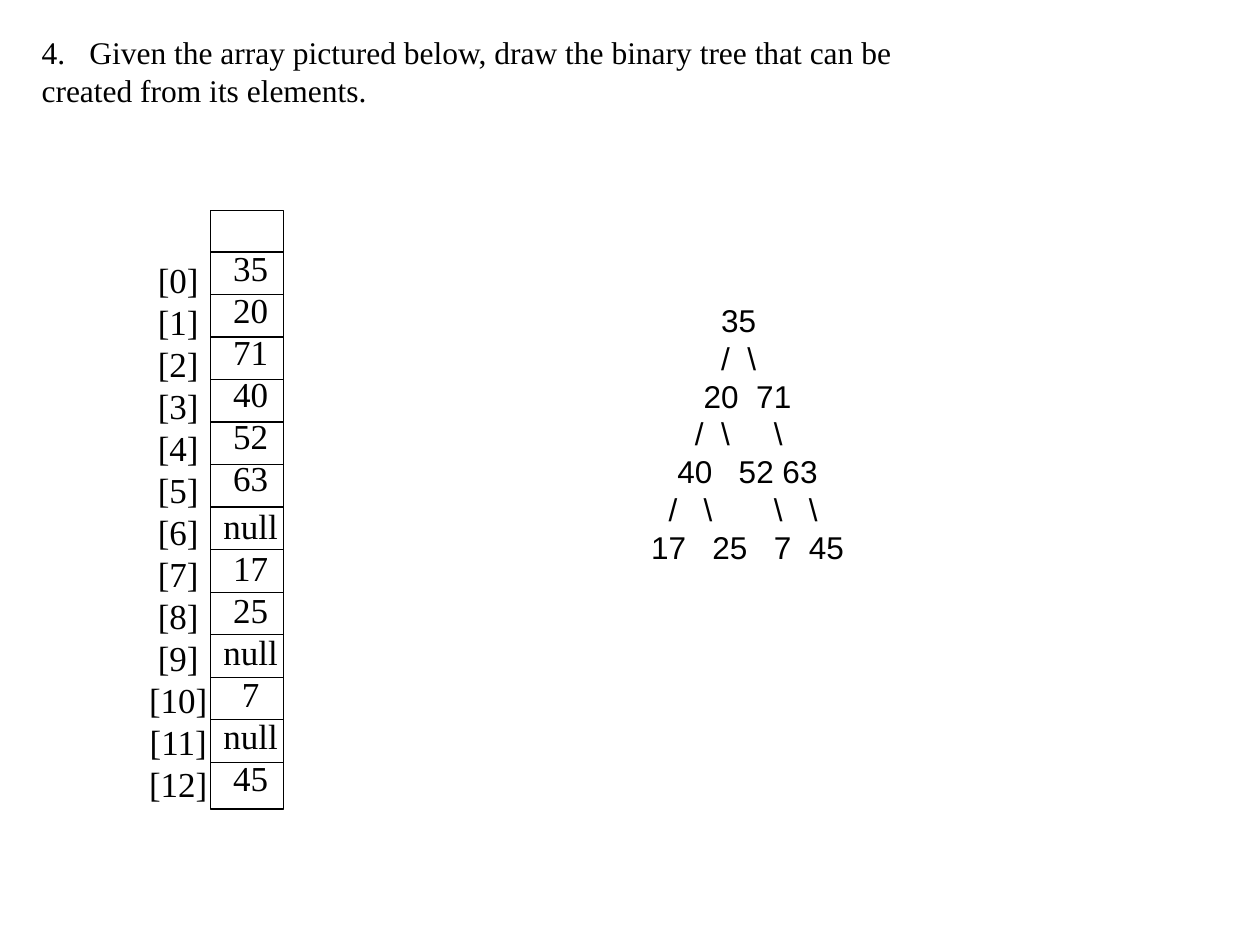
from lxml import etree
from pptx import Presentation
from pptx.dml.color import RGBColor
from pptx.enum import shapes, text
from pptx.oxml import ns
from pptx.util import Inches, Pt

QUESTION = [
    "Given the array pictured below, draw the binary tree that can be",
    "created from its elements.",
]
QUESTION_NUMBER = 4
VALUES = ["35", "20", "71", "40", "52", "63", "null",
          "17", "25", "null", "7", "null", "45"]
# Each level lists (column, label); a column is one Arial space wide.
TREE = [
    [(9, "35")],
    [(9, "/"), (12, "\\")],
    [(7, "20"), (13, "71")],
    [(6, "/"), (9, "\\"), (15, "\\")],
    [(4, "40"), (11, "52"), (16, "63")],
    [(3, "/"), (7, "\\"), (15, "\\"), (19, "\\")],
    [(1, "17"), (8, "25"), (15, "7"), (19, "45")],
]
TREE_COLUMN = 0.0695

BLACK = RGBColor(0, 0, 0)
SERIF, SANS = "Times New Roman", "Arial"
ARRAY_LEFT, ARRAY_TOP, ARRAY_WIDTH, ARRAY_HEIGHT = 1.67, 1.67, 0.58, 4.75
FIRST_RULE, LAST_RULE = 2.0, 6.05


def write(shape, box, lines, font, size, align, wrap=False, side_inset=0.1):
    shape.left, shape.top, shape.width, shape.height = map(Inches, box)
    frame = shape.text_frame
    frame.text = "\n".join(lines)
    frame_format = {
        "word_wrap": wrap,
        "auto_size": text.MSO_AUTO_SIZE.NONE,
        "vertical_anchor": text.MSO_ANCHOR.TOP,
        "margin_left": Inches(side_inset),
        "margin_right": Inches(side_inset),
    }
    for name, value in frame_format.items():
        setattr(frame, name, value)
    for paragraph in frame.paragraphs:
        paragraph.alignment = align
        for run in paragraph.runs:
            run.font.name, run.font.size = font, Pt(size)
            run.font.color.rgb = BLACK
    return frame.paragraphs


def add_property(parent, tag, **attributes):
    return etree.SubElement(parent, ns.qn(tag),
                            {name: str(value) for name, value in attributes.items()})


def add_question(slide):
    first, _ = write(slide.shapes.title, (0.23, 0.21, 7.02, 0.71), QUESTION,
                     SERIF, 18, text.PP_ALIGN.LEFT)
    properties = first._p.get_or_add_pPr()
    properties.set("marL", str(Inches(0.38)))
    properties.set("indent", str(Inches(-0.38)))
    add_property(properties, "a:buFont", typeface=SERIF)
    add_property(properties, "a:buAutoNum", type="arabicPeriod", startAt=QUESTION_NUMBER)


def add_array(slide):
    frame = slide.shapes.add_shape(
        shapes.MSO_SHAPE.RECTANGLE,
        *map(Inches, (ARRAY_LEFT, ARRAY_TOP, ARRAY_WIDTH, ARRAY_HEIGHT)))
    frame.shadow.inherit = False
    frame.fill.background()
    frame.line.color.rgb, frame.line.width = BLACK, Pt(0.75)

    pitch = (LAST_RULE - FIRST_RULE) / (len(VALUES) - 1)
    for row in range(len(VALUES)):
        y = Inches(FIRST_RULE + row * pitch)
        rule = slide.shapes.add_connector(
            shapes.MSO_CONNECTOR.STRAIGHT,
            Inches(ARRAY_LEFT), y, Inches(ARRAY_LEFT + ARRAY_WIDTH), y)
        rule.line.color.rgb, rule.line.width = BLACK, Pt(0.75)
        add_property(rule._element.spPr, "a:effectLst")

    indices = [f"[{index}]" for index in range(len(VALUES))]
    for box, lines in (((1.08, 2, 0.67, 4.48), indices),
                       ((1.67, 1.91, 0.64, 4.48), VALUES)):
        column = slide.shapes.add_textbox(0, 0, 0, 0)
        paragraphs = write(column, box, lines, SERIF, 20,
                           text.PP_ALIGN.CENTER, side_inset=0)
    paragraphs[VALUES.index("null")].space_before = Pt(3)


def add_tree(slide):
    lines = ["".join("\t" + label for _, label in level) for level in TREE]
    paragraphs = write(slide.shapes.add_textbox(0, 0, 0, 0), (5, 2.34, 3.92, 2.22),
                       lines, SANS, 18, text.PP_ALIGN.LEFT, wrap=True)
    for paragraph, level in zip(paragraphs, TREE):
        stops = add_property(paragraph._p.get_or_add_pPr(), "a:tabLst")
        for column, _ in level:
            add_property(stops, "a:tab", pos=Inches(column * TREE_COLUMN), algn="l")


def main():
    deck = Presentation()
    deck.slide_width, deck.slide_height = Inches(10), Inches(7.5)
    slide = deck.slides.add_slide(deck.slide_layouts[5])
    add_question(slide)
    add_array(slide)
    add_tree(slide)
    deck.save("out.pptx")


if __name__ == "__main__":
    main()
